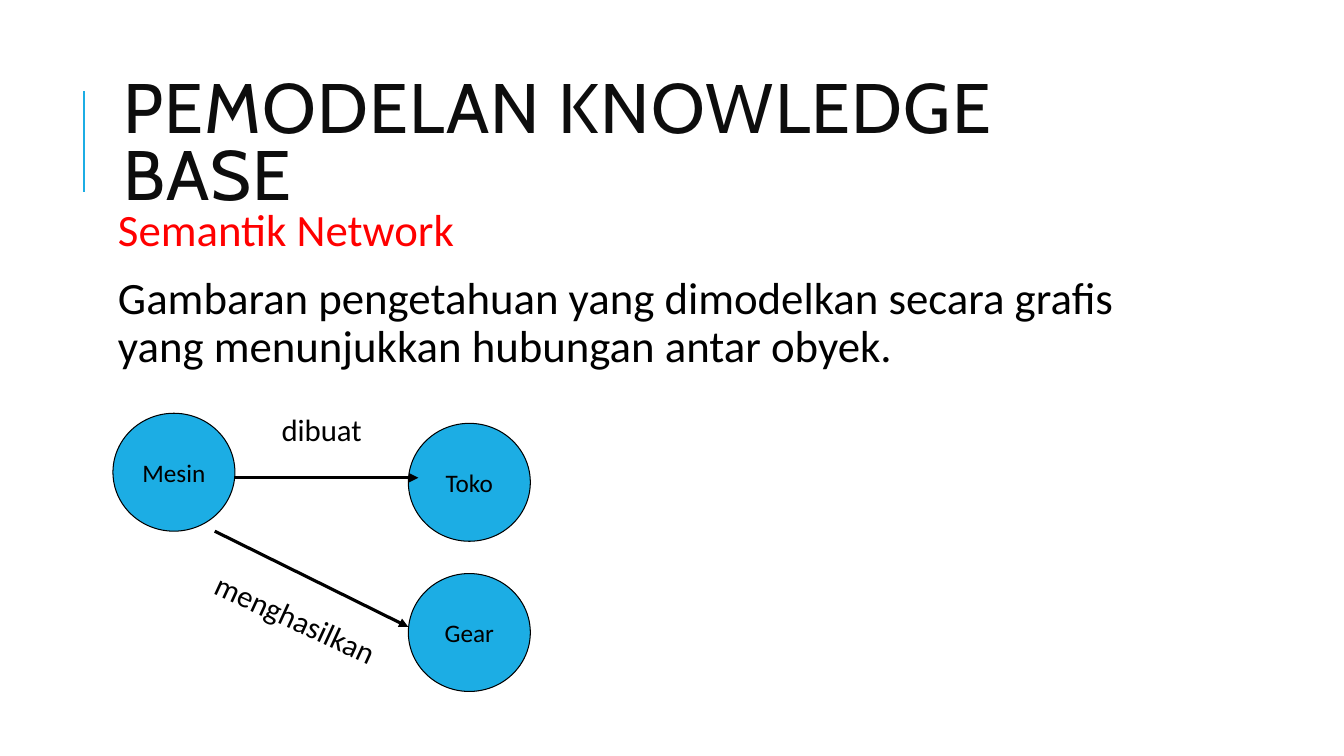
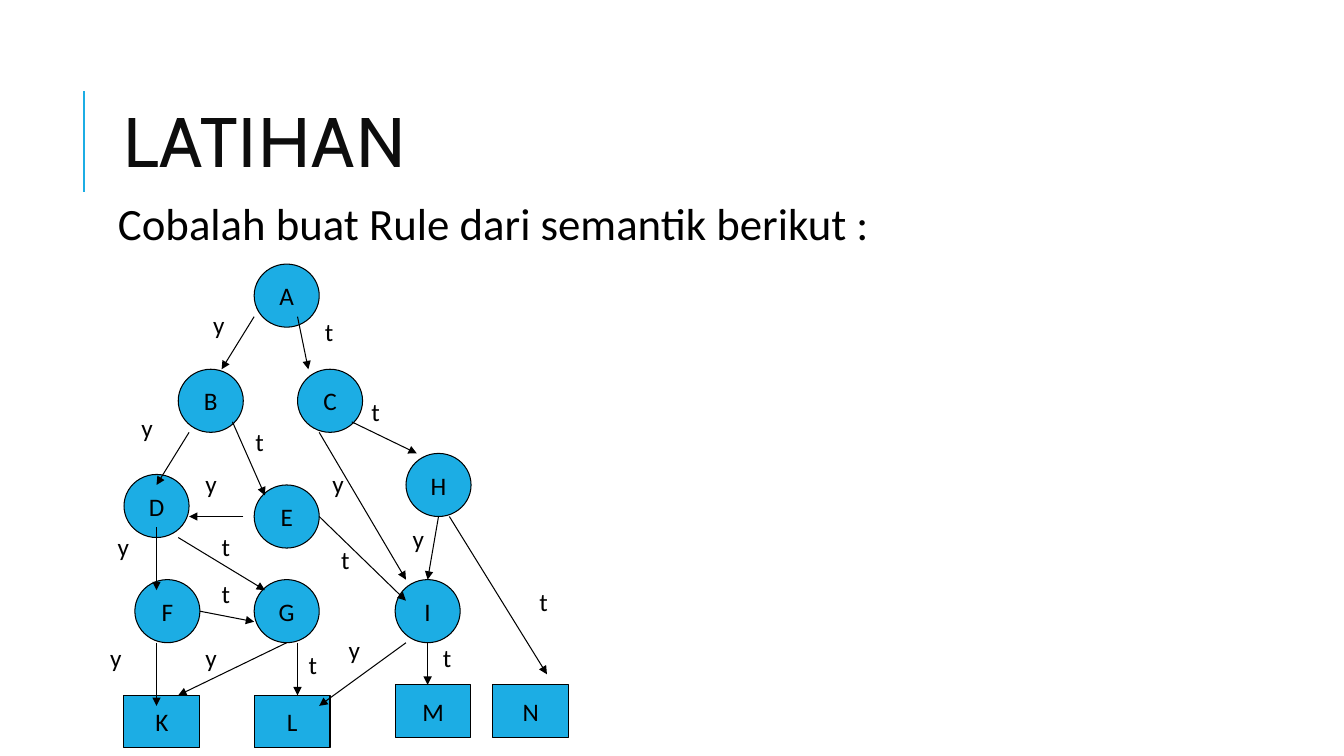
from pptx import Presentation
from pptx.dml.color import RGBColor
from pptx.enum.shapes import MSO_CONNECTOR, MSO_SHAPE
from pptx.enum.text import MSO_ANCHOR, MSO_AUTO_SIZE, PP_ALIGN
from pptx.oxml.ns import qn
from pptx.util import Inches, Pt
from lxml.etree import SubElement

BLUE, BLACK, INK, RED = "1CADE4", "000000", "0D0D0D", "FF0000"
HEAD, BODY = "Cabin", "Calibri"

# Grid of the exercise graph: columns and rows of its box
COLS, ROWS = 41, 46
DISCS = {"A": (12, 0), "B": (5, 10), "C": (16, 10), "H": (26, 18),
         "E": (12, 21), "D": (0, 20), "F": (1, 30), "G": (12, 30),
         "I": (25, 30)}
GOALS = {"K": (0, 41), "L": (12, 41), "M": (25, 40), "N": (34, 40)}
# start, end, answer, place of the answer
EDGES = [
    ((12, 5), (9, 10), "y", (7.3, 3.8)),
    ((16, 5), (17, 10), "t", (17.6, 4.5)),
    ((6, 16), (3, 21), "y", (0.7, 13.6)),
    ((10, 15), (13, 22), "t", (11.2, 15)),
    ((18, 16), (26, 30), "y", (18.3, 18.9)),
    ((21, 15), (27, 18), "t", (21.9, 12.1)),
    ((11, 24), (6, 24), "y", (6.6, 18.9)),
    ((18, 24), (26, 32), "t", (19.1, 26.2)),
    ((29, 24), (28, 30), "y", (25.7, 24.2)),
    ((30, 24), (39, 39), "t", (37.4, 30.2)),
    ((3, 25), (3, 31), "y", (-1.5, 24.9)),
    ((5, 26), (13, 31), "t", (8.1, 24.9)),
    ((3, 36), (3, 42), "y", (-2.2, 35.5)),
    ((7, 33), (12, 34), "t", (8.1, 29.4)),
    ((15, 36), (5, 41), "y", (6.6, 35.5)),
    ((16, 36), (16, 41), "t", (16.1, 36.2)),
    ((26, 36), (18, 42), "y", (19.8, 34.7)),
    ((28, 36), (28, 40), "t", (28.5, 35.5)),
]


def paint(color, value):
    """Set a fill, line or font colour from a hex string."""
    if hasattr(color, "solid"):
        color.solid()
        color = color.fore_color
    else:
        color = color.color
    color.rgb = RGBColor.from_string(value)


def style(para, size, color=BLACK, face=BODY, align=PP_ALIGN.LEFT):
    para.alignment = align
    para.font.size = Pt(size)
    para.font.name = face
    paint(para.font, color)


def place(shape, x, y, w, h):
    shape.left, shape.top = Inches(x), Inches(y)
    shape.width, shape.height = Inches(w), Inches(h)


def rule(slide, start, end, color, width):
    line = slide.shapes.add_connector(
        MSO_CONNECTOR.STRAIGHT, *map(Inches, (*start, *end)))
    paint(line.line, color)
    line.line.width = Pt(width)
    SubElement(line._element.spPr, qn("a:effectLst"))
    return line


def arrow(slide, start, end, width):
    line = rule(slide, start, end, BLACK, width)
    SubElement(line.line._get_or_add_ln(), qn("a:tailEnd"), type="triangle")


def node(slide, kind, text, x, y, w, h):
    shape = slide.shapes.add_shape(kind, *map(Inches, (x, y, w, h)))
    shape.shadow.inherit = False
    paint(shape.fill, BLUE)
    paint(shape.line, BLACK)
    shape.line.width = Pt(0.75)
    frame = shape.text_frame
    frame.word_wrap = False
    frame.vertical_anchor = MSO_ANCHOR.MIDDLE
    frame.text = text
    style(frame.paragraphs[0], 18, align=PP_ALIGN.CENTER)


def label(slide, text, x, y, w, h, size, align=PP_ALIGN.LEFT, turn=0):
    box = slide.shapes.add_textbox(*map(Inches, (x, y, w, h)))
    box.rotation = turn
    box.text_frame.word_wrap = True
    box.text_frame.text = text
    style(box.text_frame.paragraphs[0], size, align=align)


def page(deck, title, lines, top, height):
    """Add a slide with its title, side rule and (text, colour) lines."""
    slide = deck.slides.add_slide(deck.slide_layouts[1])
    rule(slide, (0.83, 1.9), (0.83, 0.9), BLUE, 1.5)

    head = slide.shapes.title
    place(head, 1.12, 0.64, 10.63, 1.64)
    frame = head.text_frame
    frame.text = title
    frame.auto_size = MSO_AUTO_SIZE.NONE
    frame.vertical_anchor = MSO_ANCHOR.MIDDLE
    para = frame.paragraphs[0]
    style(para, 50, INK, HEAD)
    para.line_spacing = 0.8
    para.runs[0]._r.get_or_add_rPr().set("spc", "100")

    body = slide.placeholders[1]
    place(body, 1.12, top, 10.63, height)
    frame = body.text_frame
    frame.text = "\n".join(text for text, _ in lines)
    frame.auto_size = MSO_AUTO_SIZE.NONE
    frame.margin_left = frame.margin_right = Inches(0.05)
    frame.margin_top = frame.margin_bottom = Inches(0.05)
    for para, (_, color) in zip(frame.paragraphs, lines):
        props = para._p.get_or_add_pPr()
        props.set("marL", "0")
        props.set("indent", "0")
        SubElement(props, qn("a:buNone"))
        style(para, 32, color)
        para.line_spacing = 0.9
        para.space_before, para.space_after = Pt(12), Pt(2)
    return slide


def network(slide, x, y):
    """Draw the machine network from its top left corner."""
    for text, dx, dy in (("Mesin", 0, 0), ("Toko", 2.93, 0.1),
                         ("Gear", 2.93, 1.59)):
        node(slide, MSO_SHAPE.OVAL, text, x + dx, y + dy, 1.21, 1.17)
    arrow(slide, (x + 1.21, y + 0.64), (x + 3.03, y + 0.64), 2.25)
    arrow(slide, (x + 1.01, y + 1.17), (x + 2.93, y + 2.12), 2.25)
    label(slide, "dibuat", x + 1.16, y - 0.07, 1.82, 0.47, 22,
          PP_ALIGN.CENTER)
    label(slide, "menghasilkan", x + 0.4, y + 1.8, 2.82, 0.47, 22,
          PP_ALIGN.CENTER, 24.7)


def graph(slide, x, y, w, h):
    """Draw the decision graph on a grid that fills the box."""
    dx, dy = w / COLS, h / ROWS

    def spot(cell):
        return x + cell[0] * dx, y + cell[1] * dy

    for kind, nodes, cols, rows in ((MSO_SHAPE.OVAL, DISCS, 6, 6),
                                    (MSO_SHAPE.RECTANGLE, GOALS, 7, 5)):
        for text, cell in nodes.items():
            node(slide, kind, text, *spot(cell), cols * dx, rows * dy)
    for start, end, text, cell in EDGES:
        arrow(slide, spot(start), spot(end), 0.75)
        label(slide, text, *spot(cell), 0.47, 0.5, 18)


def main():
    deck = Presentation()
    deck.slide_width, deck.slide_height = Inches(13.33), Inches(7.5)
    slide = page(deck, "PEMODELAN KNOWLEDGE BASE", [
        ("Semantik Network", RED),
        ("Gambaran pengetahuan yang dimodelkan secara grafis yang "
         "menunjukkan hubungan antar obyek.", BLACK)], 2.01, 1.83)
    network(slide, 1.12, 4.1)
    slide = page(deck, "LATIHAN", [
        ("Cobalah buat Rule dari semantik berikut :", BLACK)], 1.95, 0.59)
    graph(slide, 1.23, 2.62, 4.41, 4.8)
    deck.save("out.pptx")


if __name__ == "__main__":
    main()
